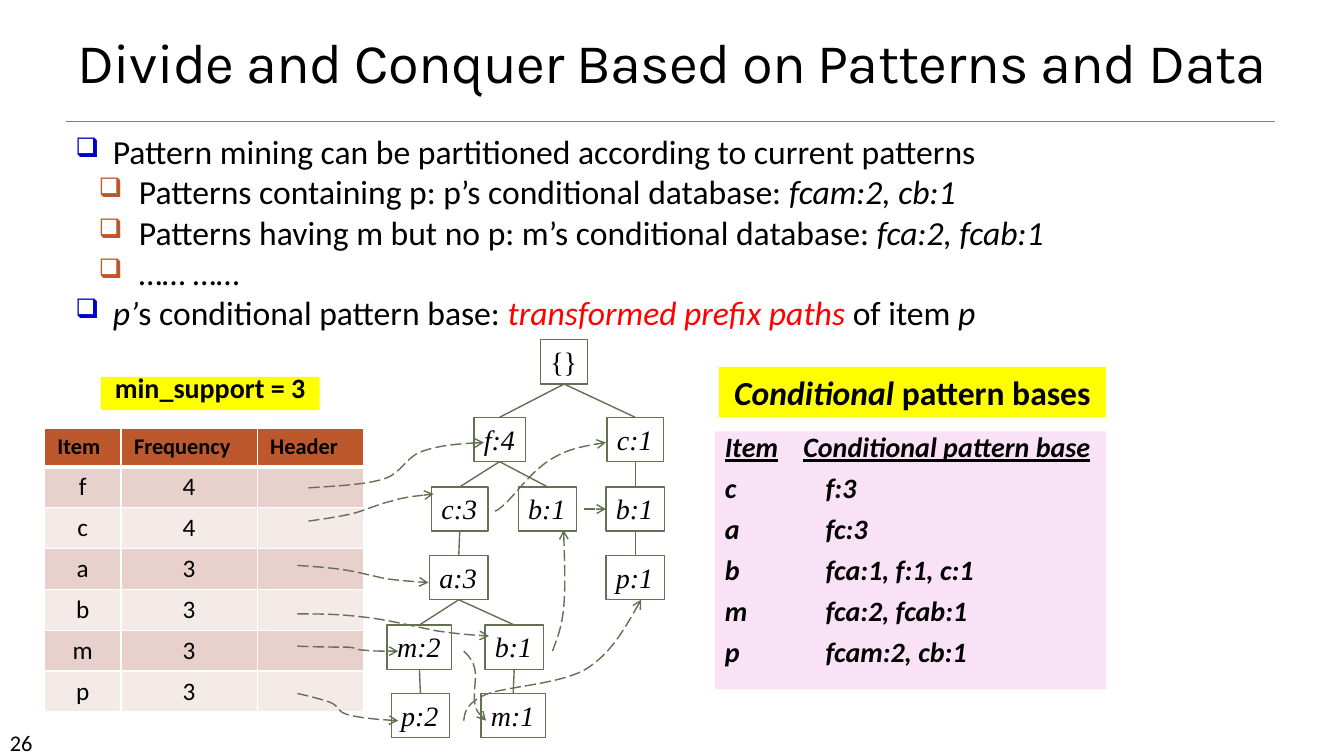
from dataclasses import dataclass

from lxml import etree
from pptx import Presentation
from pptx import util as u
from pptx.dml.color import RGBColor
from pptx.enum import dml, shapes, text
from pptx.oxml import ns

COLORS = {
    "black": "000000", "white": "FFFFFF", "rule": "808080", "olive": "637052",
    "blue": "0000CC", "rust": "BD582C", "red": "FF0000", "yellow": "FFFF00",
    "pink": "FAE2F6", "rose": "E8D1CD", "blush": "F4EAE8",
}
BODY, TITLE, TREE = "Calibri", "Karla", "Times New Roman"
CENTER = text.PP_ALIGN.CENTER
NODE_HEIGHT = 0.44
LEVELS = (3.37, 4.14, 4.83, 5.51, 6.2, 6.88)


@dataclass(frozen=True)
class Node:
    label: str
    left: float
    width: float
    level: int
    parent: str = ""


@dataclass(frozen=True)
class Bullet:
    margin: float
    hanging: float
    color: str


@dataclass(frozen=True)
class Span:
    content: str
    italic: bool = False
    color: str = "black"


NODES = {
    "root": Node("{}", 5.36, 0.47, 0),
    "f": Node("f:4", 4.7, 0.51, 1, "root"),
    "c": Node("c:1", 6.02, 0.56, 1, "root"),
    "fc": Node("c:3", 4.28, 0.56, 2, "f"),
    "fb": Node("b:1", 5.14, 0.58, 2, "f"),
    "cb": Node("b:1", 6.01, 0.58, 2, "c"),
    "fca": Node("a:3", 4.26, 0.58, 3, "fc"),
    "cbp": Node("p:1", 6.01, 0.58, 3, "cb"),
    "fcam": Node("m:2", 3.84, 0.64, 4, "fca"),
    "fcab": Node("b:1", 4.81, 0.58, 4, "fca"),
    "fcamp": Node("p:2", 3.88, 0.58, 5, "fcam"),
    "fcabm": Node("m:1", 4.77, 0.64, 5, "fcab"),
}
NODE_LINKS = (
    ((3.06, 4.84), (3.34, 4.82), (3.62, 4.81), (3.81, 4.75), (3.99, 4.69), (4.02, 4.54),
     (4.18, 4.48), (4.35, 4.42), (4.57, 4.4), (4.8, 4.39)),
    ((4.91, 5.07), (4.92, 5.07), (4.93, 5.07), (5.02, 4.99), (5.11, 4.9), (5.29, 4.66),
     (5.46, 4.56), (5.62, 4.46), (5.81, 4.42), (6.01, 4.39)),
    ((2.95, 5.61), (3.1, 5.62), (3.24, 5.63), (3.39, 5.65), (3.53, 5.67), (3.68, 5.71),
     (3.82, 5.74), (3.96, 5.76), (4.11, 5.77), (4.25, 5.78)),
    ((2.95, 6.09), (3.15, 6.09), (3.35, 6.09), (3.59, 6.12), (3.82, 6.14), (4.13, 6.22),
     (4.34, 6.26), (4.55, 6.29), (4.7, 6.3), (4.85, 6.31)),
    ((5.48, 6.46), (5.52, 6.35), (5.57, 6.24), (5.59, 6.04), (5.61, 5.84), (5.6, 5.55),
     (5.59, 5.26)),
    ((2.95, 6.41), (3.15, 6.42), (3.34, 6.42), (3.45, 6.42), (3.56, 6.43), (3.53, 6.45),
     (3.61, 6.45), (3.7, 6.46), (3.82, 6.46), (3.95, 6.46)),
    ((4.6, 6.46), (4.65, 6.51), (4.69, 6.55), (4.71, 6.64), (4.73, 6.72), (4.69, 6.89),
     (4.71, 6.98), (4.73, 7.07), (4.78, 7.11), (4.82, 7.15)),
    ((2.95, 6.88), (3.08, 6.91), (3.2, 6.94), (3.28, 6.97), (3.37, 7.01), (3.34, 7.06),
     (3.45, 7.09), (3.56, 7.12), (3.75, 7.14), (3.95, 7.15)),
    ((4.6, 7.15), (4.61, 7.07), (4.62, 6.98), (4.82, 6.89), (5.02, 6.81), (5.55, 6.79),
     (5.81, 6.64), (6.06, 6.48), (6.21, 6.21), (6.36, 5.95)),
    ((3.06, 5.17), (3.2, 5.15), (3.34, 5.13), (3.48, 5.1), (3.61, 5.07), (3.75, 5),
     (3.89, 4.97), (4.02, 4.93), (4.16, 4.92), (4.3, 4.9)),
)
TOP = Bullet(0.37, 0.37, "blue")
SUB = Bullet(0.63, 0.4, "rust")
POINTS = (
    (TOP, (Span("Pattern mining can be partitioned according to current patterns"),)),
    (SUB, (Span("Patterns containing p: p’s conditional database: "), Span("fcam:2, cb:1", True))),
    (SUB, (Span("Patterns having m but no p: m’s conditional database: "),
           Span("fca:2, fcab:1", True))),
    (SUB, (Span("…… ……"),)),
    (TOP, (Span("p’", True), Span("s conditional pattern base: "),
           Span("transformed prefix paths ", True, "red"), Span("of item "), Span("p", True))),
)
FREQUENCIES = (("f", "4"), ("c", "4"), ("a", "3"), ("b", "3"), ("m", "3"), ("p", "3"))
PATTERN_BASES = (("Item", "Conditional pattern base"), ("c", "f:3"), ("a", "fc:3"),
                 ("b", "fca:1, f:1, c:1"), ("m", "fca:2, fcab:1"), ("p", "fcam:2, cb:1"))


def rgb(color: str) -> RGBColor:
    return RGBColor.from_string(COLORS[color])


def add_xml(parent, tag: str, **attributes):
    return etree.SubElement(parent, ns.qn(tag), attributes)


def write(paragraph, content: str, *, size: float, font: str = BODY, color: str = "black",
          bold: bool = False, italic: bool = False, underline: bool = False,
          align=text.PP_ALIGN.LEFT, line: float = 1.0, before: float = 0):
    run = paragraph.add_run()
    run.text = content
    run.font.name, run.font.size = font, u.Pt(size)
    run.font.bold, run.font.italic, run.font.underline = bold, italic, underline
    run.font.color.rgb = rgb(color)
    paragraph.alignment = align
    paragraph.line_spacing, paragraph.space_before = line, u.Pt(before)
    return run


def next_paragraph(frame, index: int):
    return frame.add_paragraph() if index else frame.paragraphs[0]


def add_box(slide, left: float, top: float, width: float, height: float,
            fill: str = "", line: str = "", wrap: bool = True):
    box = slide.shapes.add_shape(shapes.MSO_SHAPE.RECTANGLE, u.Inches(left), u.Inches(top),
                                 u.Inches(width), u.Inches(height))
    box.shadow.inherit = False
    if fill:
        box.fill.solid()
        box.fill.fore_color.rgb = rgb(fill)
    else:
        box.fill.background()
    if line:
        style_line(box, line)
    else:
        box.line.fill.background()
    box.text_frame.vertical_anchor = text.MSO_ANCHOR.TOP
    box.text_frame.word_wrap = wrap
    return box


def style_line(shape, color: str, width: float = 1, arrow: bool = False) -> None:
    shape.line.color.rgb = rgb(color)
    shape.line.width = u.Pt(width)
    if arrow:
        shape.line.dash_style = dml.MSO_LINE.LONG_DASH
        add_xml(shape.line._get_or_add_ln(), "a:tailEnd", type="arrow")


def add_line(slide, start: tuple[float, float], end: tuple[float, float], color: str,
             width: float = 1, arrow: bool = False):
    line = slide.shapes.add_connector(shapes.MSO_CONNECTOR.STRAIGHT,
                                      *map(u.Inches, (*start, *end)))
    style_line(line, color, width, arrow)
    add_xml(line._element.spPr, "a:effectLst")
    return line


def add_curve(slide, points: tuple[tuple[float, float], ...]) -> None:
    start, *rest = [(u.Inches(x), u.Inches(y)) for x, y in points]
    builder = slide.shapes.build_freeform(*start)
    builder.add_line_segments(rest, close=False)
    curve = builder.convert_to_shape()
    curve.shadow.inherit = False
    curve.fill.background()
    style_line(curve, "olive", arrow=True)
    outline = curve._element.find(".//" + ns.qn("a:path"))
    steps = outline.findall(ns.qn("a:lnTo"))
    for first in range(0, len(steps), 3):
        bezier = add_xml(outline, "a:cubicBezTo")
        for step in steps[first:first + 3]:
            bezier.append(step[0])
            outline.remove(step)


def add_title(slide) -> None:
    title = slide.shapes.title
    title.left, title.top, title.width, title.height = map(u.Inches, (0, 0.33, 13.33, 0.67))
    title.text_frame.vertical_anchor = text.MSO_ANCHOR.BOTTOM
    title.text_frame.auto_size = text.MSO_AUTO_SIZE.NONE
    heading = write(title.text_frame.paragraphs[0], "Divide and Conquer Based on Patterns and Data",
                    size=40, font=TITLE, align=CENTER, line=0.9)
    heading.font._element.set("spc", "-50")
    add_line(slide, (0.65, 1.2), (12.65, 1.2), "rule", 0.5)


def add_points(slide) -> None:
    frame = add_box(slide, 0.65, 1.25, 11.45, 2).text_frame
    for index, (bullet, spans) in enumerate(POINTS):
        paragraph = next_paragraph(frame, index)
        for span in spans:
            write(paragraph, span.content, size=24, italic=span.italic, color=span.color)
        props = paragraph._p.get_or_add_pPr()
        props.set("marL", str(u.Inches(bullet.margin)))
        props.set("indent", str(-u.Inches(bullet.hanging)))
        add_xml(add_xml(props, "a:buClr"), "a:srgbClr", val=COLORS[bullet.color])
        add_xml(props, "a:buSzPct", val="80000")
        add_xml(props, "a:buChar", char="❑")


def add_frequencies(slide) -> None:
    rows = (("Item", "Frequency", "Header"), *((*row, "") for row in FREQUENCIES))
    table = slide.shapes.add_table(len(rows), 3, *map(u.Inches, (0.44, 4.25, 3.17, 2.81))).table
    for column, width in zip(table.columns, (0.76, 1.35, 1.06)):
        column.width = u.Inches(width)
    for r, row in enumerate(rows):
        table.rows[r].height = u.Inches(2.43 / len(FREQUENCIES) if r else 0.38)
        for c, content in enumerate(row):
            cell = table.cell(r, c)
            cell.margin_left = cell.margin_right = u.Inches(0.13)
            for side in "LRTB":
                thick = (side == "B" and r == 0) or (side == "T" and r == 1)
                border = add_xml(cell._tc.get_or_add_tcPr(), f"a:ln{side}",
                                 w=str(u.Pt(3 if thick else 1)))
                add_xml(add_xml(border, "a:solidFill"), "a:srgbClr", val=COLORS["white"])
            cell.fill.solid()
            cell.fill.fore_color.rgb = rgb(("blush", "rose")[r % 2] if r else "rust")
            if content:
                write(cell.text_frame.paragraphs[0], content, size=18 if r else 16, bold=r == 0,
                      align=CENTER if r else text.PP_ALIGN.LEFT)


def add_tree(slide) -> None:
    boxes = {}
    for key, node in NODES.items():
        box = add_box(slide, node.left, LEVELS[node.level], node.width, NODE_HEIGHT,
                      line="olive", wrap=False)
        write(box.text_frame.paragraphs[0], node.label, size=20, font=TREE, italic=key != "root")
        boxes[key] = box
        if node.parent:
            edge = add_line(slide, (0, 0), (1, 1), "olive")
            edge.begin_connect(boxes[node.parent], 2)
            edge.end_connect(box, 0)
    for points in NODE_LINKS:
        add_curve(slide, points)
    b_link = add_line(slide, (5.79, 5.05), (6.01, 5.05), "olive", arrow=True)
    b_link.end_connect(boxes["cb"], 1)


def add_pattern_bases(slide) -> None:
    frame = add_box(slide, 7.09, 4.28, 3.88, 2.56, fill="pink").text_frame
    for index, row in enumerate(PATTERN_BASES):
        paragraph = next_paragraph(frame, index)
        write(paragraph, "\t".join(row), size=20, bold=True, italic=True,
              underline=index == 0, line=0.8, before=10)
        stops = add_xml(paragraph._p.get_or_add_pPr(), "a:tabLst")
        add_xml(stops, "a:tab", pos=str(u.Inches(1 if index else 0.78)), algn="l")
    heading = add_box(slide, 7.13, 3.64, 3.84, 0.5, fill="yellow").text_frame.paragraphs[0]
    write(heading, "Conditional ", size=24, bold=True, italic=True, align=CENTER)
    write(heading, "pattern bases", size=24, bold=True, align=CENTER)


def main() -> None:
    deck = Presentation()
    deck.slide_width, deck.slide_height = u.Inches(13.33), u.Inches(7.5)
    slide = deck.slides.add_slide(deck.slide_layouts[5])
    add_title(slide)
    add_points(slide)
    add_frequencies(slide)
    add_tree(slide)
    add_pattern_bases(slide)
    support = add_box(slide, 1, 3.74, 2.17, 0.33, fill="yellow").text_frame.paragraphs[0]
    write(support, "min_support = 3", size=20, bold=True, align=CENTER, line=0.6)
    number = add_box(slide, 0, 7.18, 1.17, 0.3).text_frame.paragraphs[0]
    write(number, "26", size=16)
    deck.save("out.pptx")


if __name__ == "__main__":
    main()
